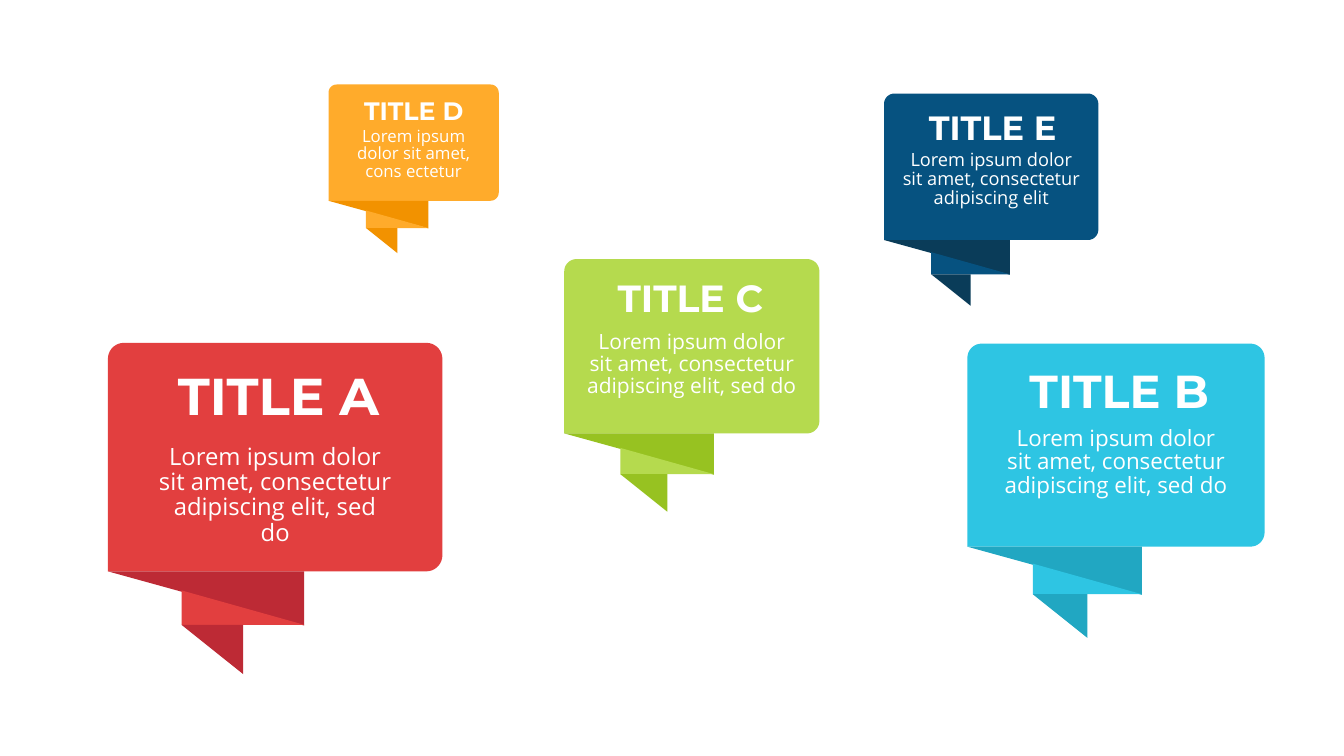
from math import cos, radians, sin

from pptx import Presentation
from pptx.dml.color import RGBColor
from pptx.enum.text import PP_ALIGN
from pptx.util import Cm, Pt

COLORS = {
    "red": "E23F3F", "dark red": "BD2A35",
    "cyan": "2EC5E3", "dark cyan": "21A7C2",
    "green": "B5DA4E", "dark green": "97C221",
    "blue": "065280", "dark blue": "0A3C59",
    "orange": "FFAB2B", "dark orange": "F29200",
    "white": "FFFFFF",
}

LOREM = "Lorem ipsum dolor sit amet, consectetur adipiscing elit"

# Title, colour, left, top, width, title size,
# body text, body top, body width, body height, body size (lengths in cm)
BUBBLES = [
    ("TITLE A", "red", 2.72, 8.64, 8.43, 37, LOREM + ", sed do", 11.1, 6.48, 2.44, 17),
    ("TITLE B", "cyan", 24.38, 8.66, 7.49, 33, LOREM + ", sed do", 10.64, 6.22, 2.31, 16),
    ("TITLE C", "green", 14.22, 6.53, 6.43, 27, LOREM + ", sed do", 8.23, 5.84, 2.18, 15),
    ("TITLE E", "blue", 22.28, 2.36, 5.4, 24, LOREM, 3.68, 5.08, 1.93, 13),
    ("TITLE D", "orange", 8.28, 2.13, 4.29, 18,
     "Lorem ipsum dolor sit amet, cons ectetur", 3.1, 4.17, 1.8, 12),
]

# Bubble outlines as fractions of the bubble width
CARD_HEIGHT = 0.683
RADIUS = 0.048
card = [(0, CARD_HEIGHT)]
for center_x, center_y, start in [
    (RADIUS, RADIUS, 180),
    (1 - RADIUS, RADIUS, 270),
    (1 - RADIUS, CARD_HEIGHT - RADIUS, 0),
]:
    for angle in range(start, start + 91, 10):
        card.append((center_x + RADIUS * cos(radians(angle)),
                     center_y + RADIUS * sin(radians(angle))))

PARTS = [
    ("", card),
    ("dark ", [(0, CARD_HEIGHT), (0.587, CARD_HEIGHT), (0.587, 0.845)]),
    ("", [(0.22, 0.74), (0.587, 0.843), (0.22, 0.843)]),
    ("dark ", [(0.22, 0.843), (0.404, 0.843), (0.404, 0.99)]),
]


def add_text(group, left, top, width, height, text, font_name, size):
    box = group.shapes.add_textbox(Cm(left), Cm(top), Cm(width), Cm(height))
    box.text_frame.word_wrap = True
    para = box.text_frame.paragraphs[0]
    para.text = text
    para.font.name = font_name
    para.font.size = Pt(size)
    para.font.color.rgb = RGBColor.from_string(COLORS["white"])
    return box.text_frame, para


deck = Presentation()
deck.slide_width = Cm(33.87)
deck.slide_height = Cm(19.05)
page = deck.slides.add_slide(deck.slide_layouts[6])

for (title, color, left, top, width, title_size,
     body, body_top, body_width, body_height, body_size) in BUBBLES:
    group = page.shapes.add_group_shape()

    # Card, folds and tail
    for shade, outline in PARTS:
        points = [(Cm(left + x * width), Cm(top + y * width)) for x, y in outline]
        builder = group.shapes.build_freeform(*points[0])
        builder.add_line_segments(points[1:], close=True)
        shape = builder.convert_to_shape()
        shape.shadow.inherit = False
        shape.fill.solid()
        shape.fill.fore_color.rgb = RGBColor.from_string(COLORS[shade + color])
        shape.line.fill.background()

    # Title
    frame, para = add_text(group, left + 0.209 * width, top + 0.061 * width,
                           0.67 * width, 0.229 * width, title, "Montserrat", title_size)
    frame.margin_left = frame.margin_right = frame.margin_top = frame.margin_bottom = 0
    para.font.bold = True

    # Body, centred on the card
    frame, para = add_text(group, left + (width - body_width) / 2, body_top,
                           body_width, body_height, body, "Open Sans", body_size)
    para.alignment = PP_ALIGN.CENTER
    para.line_spacing = 0.88

deck.save("out.pptx")
